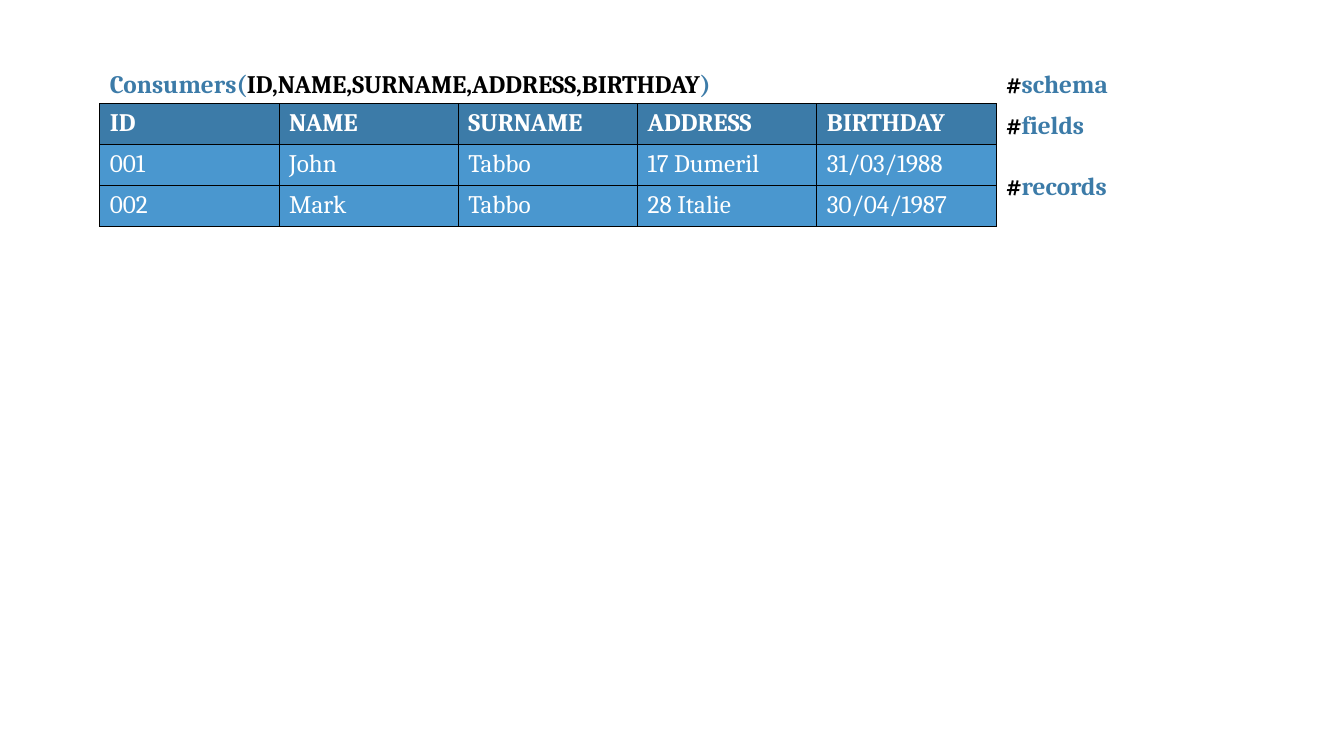
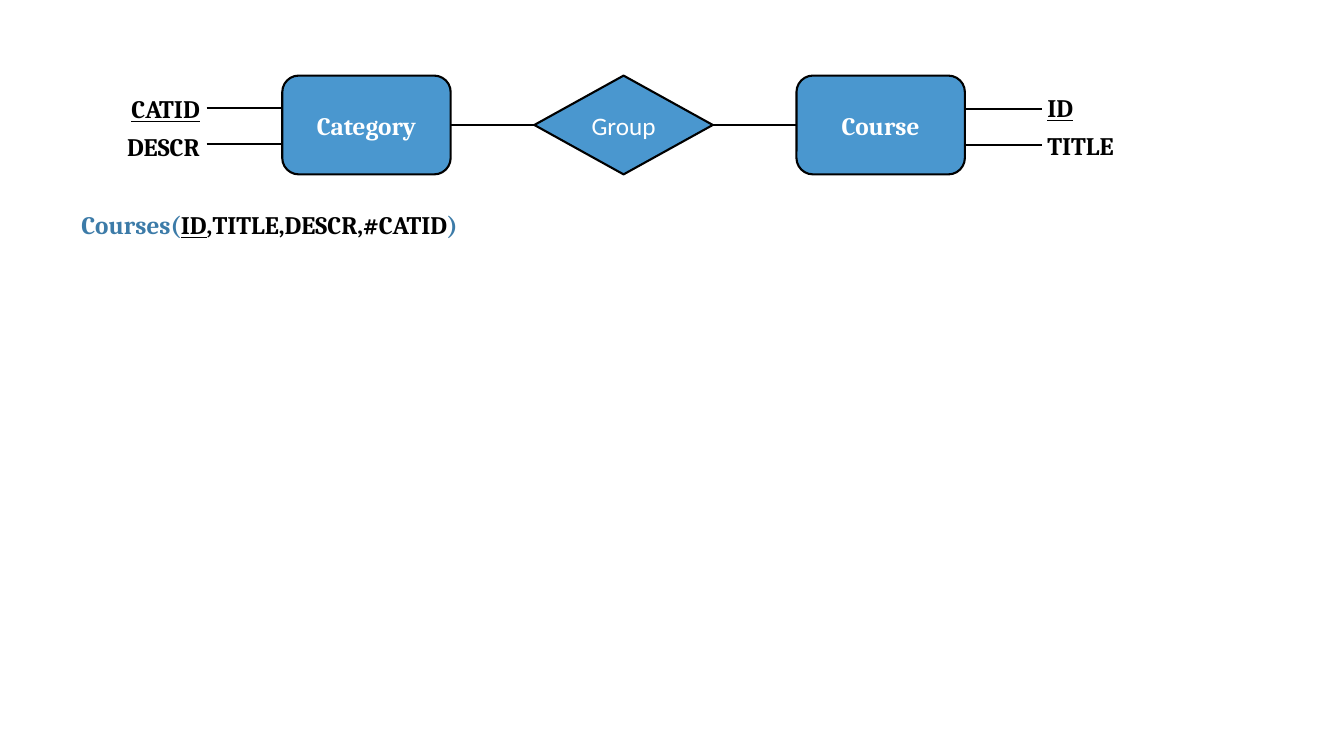
from lxml.etree import SubElement
from pptx import Presentation
from pptx.dml.color import RGBColor
from pptx.enum.shapes import MSO_CONNECTOR, MSO_SHAPE
from pptx.enum.text import MSO_ANCHOR, MSO_AUTO_SIZE, PP_ALIGN
from pptx.oxml import parse_xml
from pptx.oxml.ns import nsdecls, qn
from pptx.util import Inches, Pt

DARK_BLUE = RGBColor(0x3C, 0x7B, 0xA8)
BLUE = RGBColor(0x4A, 0x97, 0xCF)
BLACK = RGBColor(0, 0, 0)
WHITE = RGBColor(255, 255, 255)
FONT = "Cambria"


def add_run(p, text, color, bold=True, underline=False, font=FONT):
    r = p.add_run()
    r.text = text
    r.font.name = font
    r.font.size = Pt(18)
    r.font.bold = bold
    r.font.underline = underline
    r.font.color.rgb = color


def add_label(s, x, y, w, runs, align=PP_ALIGN.LEFT):
    sp = s.shapes.add_textbox(Inches(x), Inches(y), Inches(w), Inches(0.4))
    tf = sp.text_frame
    tf.word_wrap = True
    tf.auto_size = MSO_AUTO_SIZE.SHAPE_TO_FIT_TEXT
    tf.vertical_anchor = MSO_ANCHOR.MIDDLE
    p = tf.paragraphs[0]
    p.alignment = align
    for text, color, underline in runs:
        add_run(p, text, color, underline=underline)


prs = Presentation()
prs.slide_width = Inches(13.33)
prs.slide_height = Inches(7.5)
blank = prs.slide_layouts[6]

s = prs.slides.add_slide(blank)
rows = [
    ["ID", "NAME", "SURNAME", "ADDRESS", "BIRTHDAY"],
    ["001", "John", "Tabbo", "17 Dumeril", "31/03/1988"],
    ["002", "Mark", "Tabbo", "28 Italie", "30/04/1987"],
]
table = s.shapes.add_table(len(rows), len(rows[0]), Inches(0.99), Inches(1.03),
                           Inches(8.89), Inches(1.22)).table
for i, row in enumerate(rows):
    for j, text in enumerate(row):
        cell = table.cell(i, j)
        add_run(cell.text_frame.paragraphs[0], text, WHITE, bold=i == 0)
        tcPr = cell._tc.get_or_add_tcPr()
        for side in "LRTB":
            tcPr.append(parse_xml(
                f'<a:ln{side} {nsdecls("a")} w="12700"><a:solidFill>'
                f'<a:srgbClr val="{BLACK}"/></a:solidFill></a:ln{side}>'))
        cell.fill.solid()
        cell.fill.fore_color.rgb = DARK_BLUE if i == 0 else BLUE

add_label(s, 0.99, 0.63, 8.89, [
    ("Consumers(", DARK_BLUE, False),
    ("ID,NAME,SURNAME,ADDRESS,BIRTHDAY", BLACK, False),
    (")", DARK_BLUE, False),
])
for text, y in [("schema", 0.63), ("fields", 1.03), ("records", 1.64)]:
    add_label(s, 9.88, y, 3.24, [("#", BLACK, False), (text, DARK_BLUE, False)])

s = prs.slides.add_slide(blank)
add_label(s, 0.71, 2.03, 8.89, [
    ("Courses(", DARK_BLUE, False),
    ("ID", BLACK, True),
    (",TITLE,DESCR,#CATID", BLACK, False),
    (")", DARK_BLUE, False),
])

nodes = []
for text, shape, x, w, bold, font in [
    ("Category", MSO_SHAPE.ROUNDED_RECTANGLE, 2.8, 1.67, True, FONT),
    ("Group", MSO_SHAPE.DIAMOND, 5.3, 1.77, False, "Calibri"),
    ("Course", MSO_SHAPE.ROUNDED_RECTANGLE, 7.9, 1.67, True, FONT),
]:
    sp = s.shapes.add_shape(shape, Inches(x), Inches(0.75), Inches(w), Inches(0.98))
    sp.shadow.inherit = False
    sp.fill.solid()
    sp.fill.fore_color.rgb = BLUE
    sp.line.color.rgb = BLACK
    sp.line.width = Pt(1.5)
    tf = sp.text_frame
    tf.vertical_anchor = MSO_ANCHOR.MIDDLE
    p = tf.paragraphs[0]
    p.alignment = PP_ALIGN.CENTER
    add_run(p, text, WHITE, bold=bold, font=font)
    nodes.append(sp)

category, group, course = nodes
for x1, x2, y, begin, end in [
    (4.47, 5.3, 1.24, category, group),
    (7.07, 7.9, 1.24, group, course),
    (2.05, 2.8, 1.07, None, None),
    (2.05, 2.8, 1.43, None, None),
    (9.57, 10.33, 1.08, None, None),
    (9.57, 10.33, 1.44, None, None),
]:
    line = s.shapes.add_connector(MSO_CONNECTOR.STRAIGHT, Inches(x1), Inches(y),
                                  Inches(x2), Inches(y))
    line.line.color.rgb = BLACK
    line.line.width = Pt(1.5)
    SubElement(line._element.spPr, qn("a:effectLst"))
    if begin:
        line.begin_connect(begin, 3)
        line.end_connect(end, 1)

for text, x, y, w, key, align in [
    ("CATID", 0.71, 0.88, 1.37, True, PP_ALIGN.RIGHT),
    ("DESCR", 0.71, 1.25, 1.37, False, PP_ALIGN.RIGHT),
    ("ID", 10.29, 0.87, 1.34, True, PP_ALIGN.LEFT),
    ("TITLE", 10.29, 1.24, 1.34, False, PP_ALIGN.LEFT),
]:
    add_label(s, x, y, w, [(text, BLACK, key)], align)

prs.save("out.pptx")
